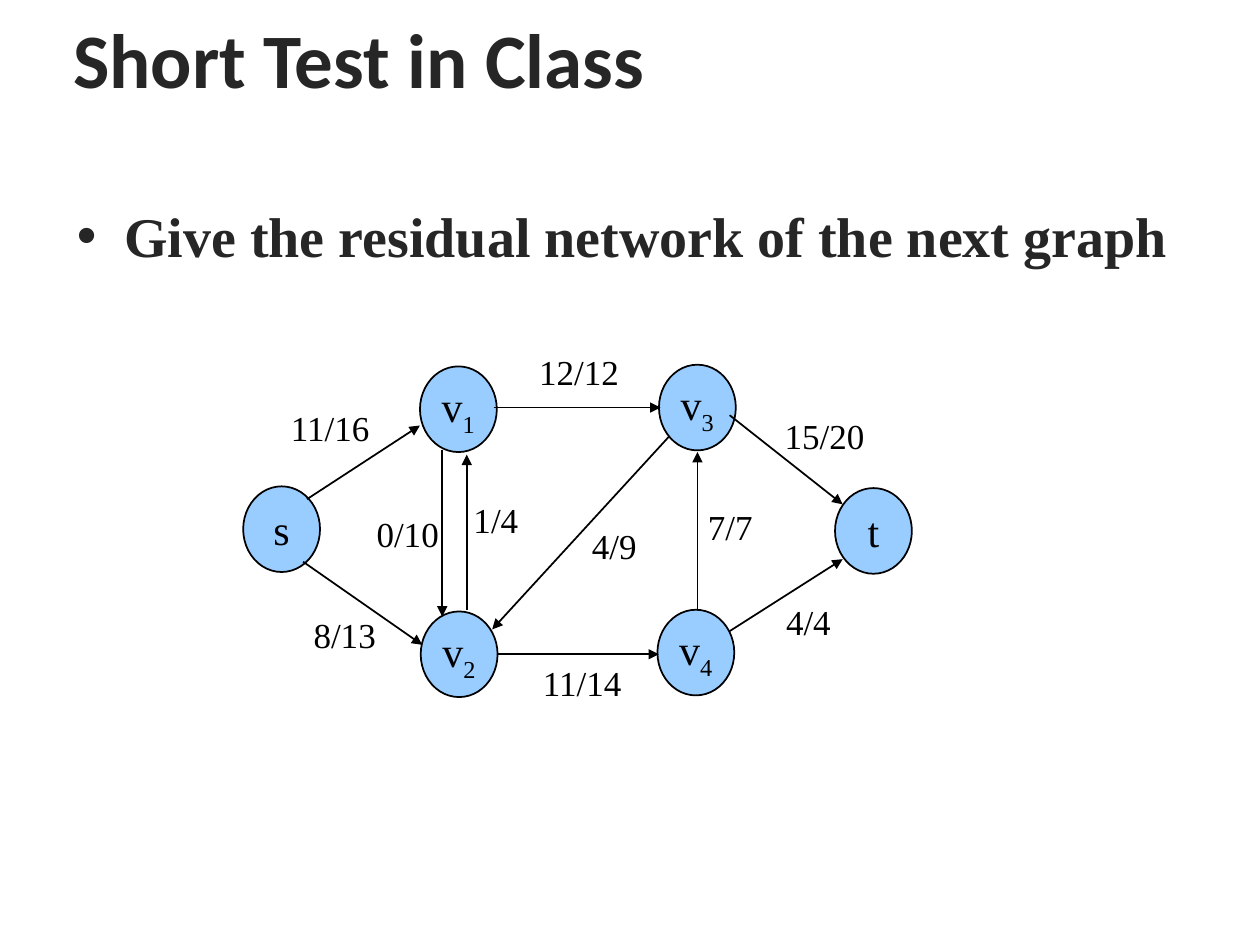
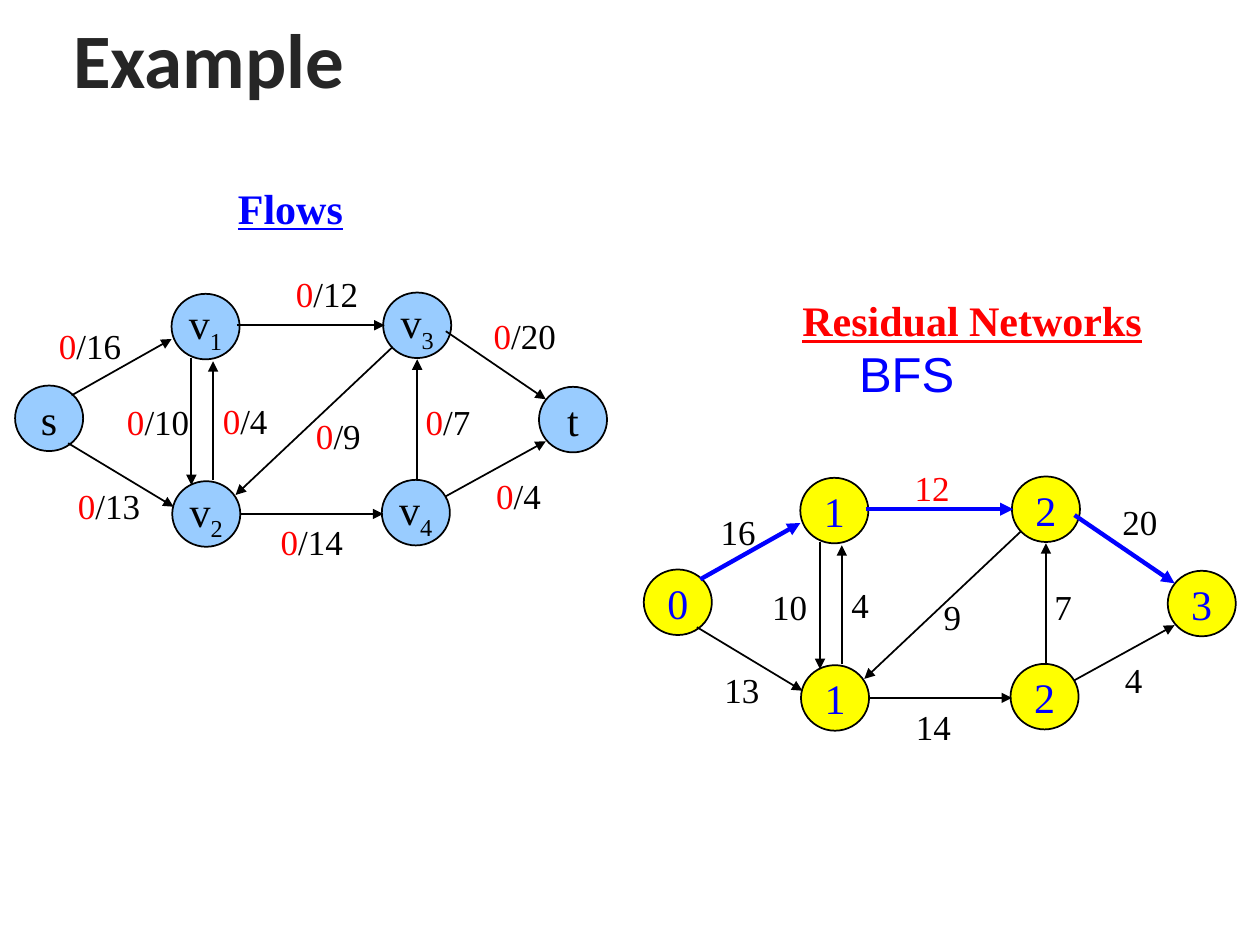
"""Build two slides on flow networks and their residual networks."""
from lxml import etree
from pptx import Presentation
from pptx.dml.color import RGBColor
from pptx.enum.shapes import MSO_CONNECTOR as CONN, MSO_SHAPE as SHAPE
from pptx.enum.text import MSO_ANCHOR as ANCHOR, MSO_AUTO_SIZE as FIT, PP_ALIGN as ALIGN
from pptx.oxml.ns import qn
from pptx.util import Inches, Pt

SERIF = "Times New Roman"
INK, BLACK, RED, BLUE = "262626", "000000", "FF0000", "0000FF"
SKY, YELLOW = "99CCFF", "FFFF00"

# Graph coordinates count node widths and node heights from the corner of node s.
NODES = [(0, 0), (7.7, 0.02), (5.41, -1.42), (5.39, 1.44), (2.31, 1.46), (2.3, -1.4)]
EDGES = {
    "s-v1": (0.83, 0.15, 2.3, -0.71),
    "s-v2": (0.78, 0.88, 2.33, 1.85),
    "v1-v2": (2.59, -0.42, 2.59, 1.52),
    "v2-v1": (2.91, 1.44, 2.91, -0.37),
    "v1-v3": (3.26, -0.92, 5.43, -0.92),
    "v3-v2": (5.54, -0.58, 3.24, 1.67),
    "v4-v3": (5.91, 1.44, 5.91, -0.4),
    "v2-v4": (3.3, 1.96, 5.41, 1.96),
    "v3-t": (6.33, -0.83, 7.8, 0.21),
    "v4-t": (6.33, 1.69, 7.8, 0.85),
}
NAMES = ["s", "t", "v3", "v4", "v2", "v1"]
PATH = ["s-v1", "v1-v3", "v3-t"]

TEST_LABELS = [
    (2.21, 3.18, "11", "/16"), (2.39, 4.82, "8", "/13"), (2.89, 4.02, "0", "/10"),
    (3.66, 3.91, "1", "/4"), (4.18, 2.73, "12", "/12"), (4.6, 4.11, "4", "/9"),
    (5.52, 3.96, "7", "/7"), (4.21, 5.2, "11", "/14"), (6.13, 3.24, "15", "/20"),
    (6.14, 4.72, "4", "/4"),
]
FLOW_LABELS = [
    (0.37, 2.53, "0", "/16"), (0.52, 3.8, "0", "/13"), (0.91, 3.13, "0", "/10"),
    (1.67, 3.12, "0", "/4"), (2.13, 2.11, "0", "/12"), (2.41, 3.24, "0", "/9"),
    (3.28, 3.13, "0", "/7"), (2.13, 4.08, "0", "/14"), (3.82, 2.45, "0", "/20"),
    (3.84, 3.72, "0", "/4"),
]
FLOW_LABELS[4] = (2.25, 2.11, "0", "/12")
RESIDUAL_LABELS = [
    (5.62, 4, "", "16"), (5.65, 5.26, "", "13"), (6.03, 4.6, "", "10"),
    (6.66, 4.58, "", "4"), (7.16, 3.65, "12", ""), (7.39, 4.68, "", "9"),
    (8.27, 4.6, "", "7"), (7.17, 5.55, "", "14"), (8.81, 3.92, "", "20"),
    (8.83, 5.18, "", "4"),
]


def rgb(color):
    """Turn a hex string into a colour."""
    return RGBColor.from_string(color)


def add_run(p, text, size, color, font=SERIF, bold=False, underline=False):
    """Append one formatted run to a paragraph."""
    r = p.add_run()
    r.text = text
    r.font.size, r.font.name = Pt(size), font
    r.font.bold, r.font.underline = bold, underline
    r.font.color.rgb = rgb(color)
    return r


prs = Presentation()
prs.slide_width, prs.slide_height = Inches(10), Inches(7.5)
test = prs.slides.add_slide(prs.slide_layouts[1])
example = prs.slides.add_slide(prs.slide_layouts[5])

for s, title in [(test, "Short Test in Class"), (example, "Example")]:
    sp = s.shapes.title
    sp.left, sp.top, sp.width, sp.height = map(Inches, (0.48, 0.08, 9.19, 0.75))
    tf = sp.text_frame
    tf.auto_size, tf.vertical_anchor = FIT.NONE, ANCHOR.MIDDLE
    p = tf.paragraphs[0]
    p.alignment = ALIGN.LEFT
    add_run(p, title, 44, INK, "Calibri", bold=True)

sp = test.placeholders[1]
sp.left, sp.top, sp.width, sp.height = map(Inches, (0.51, 1.55, 9.06, 5.51))
sp.text_frame.auto_size = FIT.NONE
add_run(sp.text_frame.paragraphs[0], "Give the residual network of the next graph", 32, INK, bold=True)

graphs = [
    (test, 1.93, 3.86, 0.61, 0.68, NAMES, SKY, BLACK, [], TEST_LABELS, BLACK),
    (example, 0.12, 3.06, 0.54, 0.52, NAMES, SKY, BLACK, [], FLOW_LABELS, RED),
    (example, 5.11, 4.52, 0.54, 0.52, "032211", YELLOW, BLUE, PATH, RESIDUAL_LABELS, RED),
]
for s, x, y, w, h, names, fill, ink, path, labels, flow_color in graphs:
    for name, (col, row) in zip(names, NODES):
        sp = s.shapes.add_shape(SHAPE.OVAL, *map(Inches, (x + col * w, y + row * h, w, h)))
        sp.shadow.inherit = False
        sp.fill.solid()
        sp.fill.fore_color.rgb = rgb(fill)
        sp.line.color.rgb, sp.line.width = rgb(BLACK), Pt(1)
        tf = sp.text_frame
        tf.word_wrap, tf.vertical_anchor = False, ANCHOR.MIDDLE
        p = tf.paragraphs[0]
        p.alignment = ALIGN.CENTER
        add_run(p, name[0], 24, ink)
        if name[1:]:
            r = add_run(p, name[1:], 24, ink)
            r.font._element.set("baseline", "-25000")

    for edge, (x1, y1, x2, y2) in EDGES.items():
        ends = x + x1 * w, y + y1 * h, x + x2 * w, y + y2 * h
        sp = s.shapes.add_connector(CONN.STRAIGHT, *map(Inches, ends))
        sp.line.color.rgb = rgb(BLUE if edge in path else BLACK)
        sp.line.width = Pt(2.5 if edge in path else 1)
        etree.SubElement(sp.line._get_or_add_ln(), qn("a:tailEnd"), type="triangle")
        etree.SubElement(sp._element.spPr, qn("a:effectLst"))

    for left, top, flow, capacity in labels:
        text = flow + capacity
        width = 0.2 + 0.14 * len(text) - 0.06 * text.count("/")
        sp = s.shapes.add_textbox(*map(Inches, (left, top, width, 0.43)))
        sp.text_frame.word_wrap = False
        for part, color in [(flow, flow_color), (capacity, BLACK)]:
            if part:
                add_run(sp.text_frame.paragraphs[0], part, 20, color)

captions = [
    ("Flows", (1.79, 1.4, 1.03, 0.5), 24, BLUE, SERIF, True),
    ("Residual Networks", (6.27, 2.29, 2.9, 0.5), 24, RED, SERIF, True),
    ("BFS", (6.72, 2.68, 2.16, 0.57), 28, BLUE, "Arial", False),
]
for text, at, size, color, font, heading in captions:
    sp = example.shapes.add_textbox(*map(Inches, at))
    sp.text_frame.word_wrap = not heading
    add_run(sp.text_frame.paragraphs[0], text, size, color, font, heading, heading)

prs.save("out.pptx")
